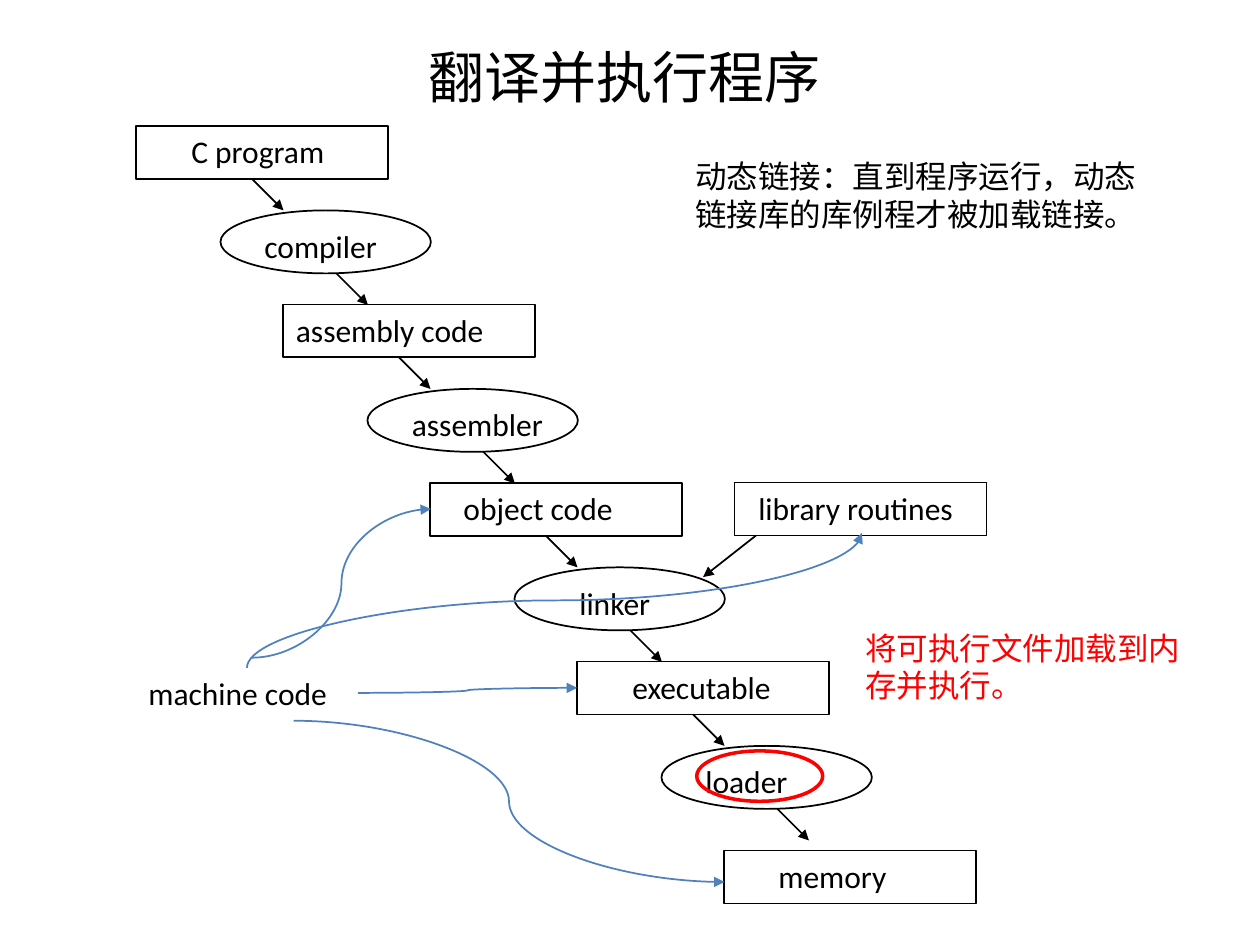
from lxml.etree import SubElement
from pptx import Presentation
from pptx.dml.color import RGBColor
from pptx.enum.shapes import MSO_CONNECTOR, MSO_SHAPE
from pptx.enum.text import MSO_AUTO_SIZE, PP_ALIGN
from pptx.oxml.ns import qn
from pptx.util import Inches, Pt

BLACK = RGBColor(0x00, 0x00, 0x00)
RED = RGBColor(0xFF, 0x00, 0x00)
BLUE = RGBColor(0x4F, 0x81, 0xBD)

# Each stage of the staircase moves right and down by one step
STEP_X, STEP_Y = 7 / 6, 17 / 12
BOX_W, BOX_H = 2, 0.42
OVAL_W, OVAL_H = 1.67, 0.5
ARROW = 0.25

# Label, its left edge and its width
BOXES = [("C program", 1.42, 1.39), ("assembly code", 2.25, 1.87),
         ("object code", 3.58, 1.48), ("executable", 4.92, 1.41),
         ("memory", 6.08, 1.1)]
OVALS = [("compiler", 2, 1.15), ("assembler", 3.17, 1.35),
         ("linker", 4.5, 0.8), ("loader", 5.5, 0.9)]


def add_outline(s, kind, x, y, w, h, color=BLACK, width=1):
    sp = s.shapes.add_shape(kind, Inches(x), Inches(y), Inches(w), Inches(h))
    sp.shadow.inherit = False
    sp.fill.background()
    sp.line.color.rgb = color
    sp.line.width = Pt(width)


def add_text(s, text, x, y, w, h=0.4, wrap=False, size=18, color=BLACK,
             align=PP_ALIGN.LEFT):
    sp = s.shapes.add_textbox(Inches(x), Inches(y), Inches(w), Inches(h))
    tf = sp.text_frame
    tf.word_wrap = wrap
    tf.auto_size = MSO_AUTO_SIZE.SHAPE_TO_FIT_TEXT
    p = tf.paragraphs[0]
    p.alignment = align
    r = p.add_run()
    r.text = text
    r.font.color.rgb = color
    for name, value in {"name": "Calibri", "size": Pt(size)}.items():
        setattr(r.font, name, value)


def add_arrow(s, x1, y1, x2, y2, kind=MSO_CONNECTOR.STRAIGHT, color=BLACK):
    c = s.shapes.add_connector(kind, Inches(x1), Inches(y1),
                               Inches(x2), Inches(y2))
    c.line.color.rgb = color
    c.line.width = Pt(1)
    SubElement(c.line._get_or_add_ln(), qn("a:tailEnd"), type="triangle")
    SubElement(c._element.spPr, qn("a:effectLst"))
    return c


def add_curve(s, x1, y1, x2, y2):
    return add_arrow(s, x1, y1, x2, y2, MSO_CONNECTOR.CURVE, BLUE)


def add_rising_curve(s, x1, y1, x2, y2):
    """Curve that leaves and arrives vertically: a quarter-turned connector."""
    cx, cy = (x1 + x2) / 2, (y1 + y2) / 2
    half_w, half_h = (y1 - y2) / 2, (x2 - x1) / 2
    c = add_curve(s, cx - half_w, cy - half_h, cx + half_w, cy + half_h)
    c._element.spPr.find(qn("a:xfrm")).set("rot", str(270 * 60000))


def add_staircase(s):
    for i, (label, x, w) in enumerate(BOXES):
        top = 6.75 if label == "memory" else 1 + i * STEP_Y
        add_outline(s, MSO_SHAPE.RECTANGLE, 1.08 + i * STEP_X, top,
                    BOX_W, BOX_H)
        add_text(s, label, x, top, w)
    for i, (label, x, w) in enumerate(OVALS):
        dx, dy = i * STEP_X, i * STEP_Y
        add_outline(s, MSO_SHAPE.OVAL, 1.75 + dx, 1.67 + dy, OVAL_W, OVAL_H)
        add_text(s, label, x, 1.75 + dy, w)
        # Arrows into and out of the tool
        for ax, ay in ((2 + dx, 1.42 + dy), (2.67 + dx, 2.17 + dy)):
            add_arrow(s, ax, ay, ax + ARROW, ay + ARROW)


def main():
    prs = Presentation()
    prs.slide_width, prs.slide_height = Inches(10), Inches(7.5)
    s = prs.slides.add_slide(prs.slide_layouts[6])

    # Translation steps
    add_staircase(s)

    # Library input to the linker
    add_outline(s, MSO_SHAPE.RECTANGLE, 5.83, 3.83, BOX_W, BOX_H)
    add_text(s, "library routines", 5.92, 3.83, 1.84)
    add_arrow(s, 6, 4.25, 5.58, 4.58)

    # Machine code and what contains it
    add_text(s, "machine code", 1.08, 5.3, 1.76)
    add_curve(s, 2, 5.22, 3.42, 4.04)
    add_curve(s, 2.84, 5.5, 4.58, 5.46)
    add_curve(s, 2.33, 5.72, 5.75, 7)
    add_rising_curve(s, 1.96, 5.3, 6.84, 4.23)

    # Title and notes
    add_text(s, "翻译并执行程序", 0.43, 0.29, 9.06, 0.64, wrap=True, size=32,
             align=PP_ALIGN.CENTER)
    add_text(s, "将可执行文件加载到内存并执行。", 6.77, 4.94, 2.74, 0.71,
             wrap=True, color=RED)
    add_text(s, "动态链接：直到程序运行，动态链接库的库例程才被加载链接。",
             5.42, 1.2, 3.76, 0.71, wrap=True)

    # Highlight on the loader
    add_outline(s, MSO_SHAPE.OVAL, 5.53, 5.96, 1, 0.4, RED, 2)

    prs.save("out.pptx")


if __name__ == "__main__":
    main()
